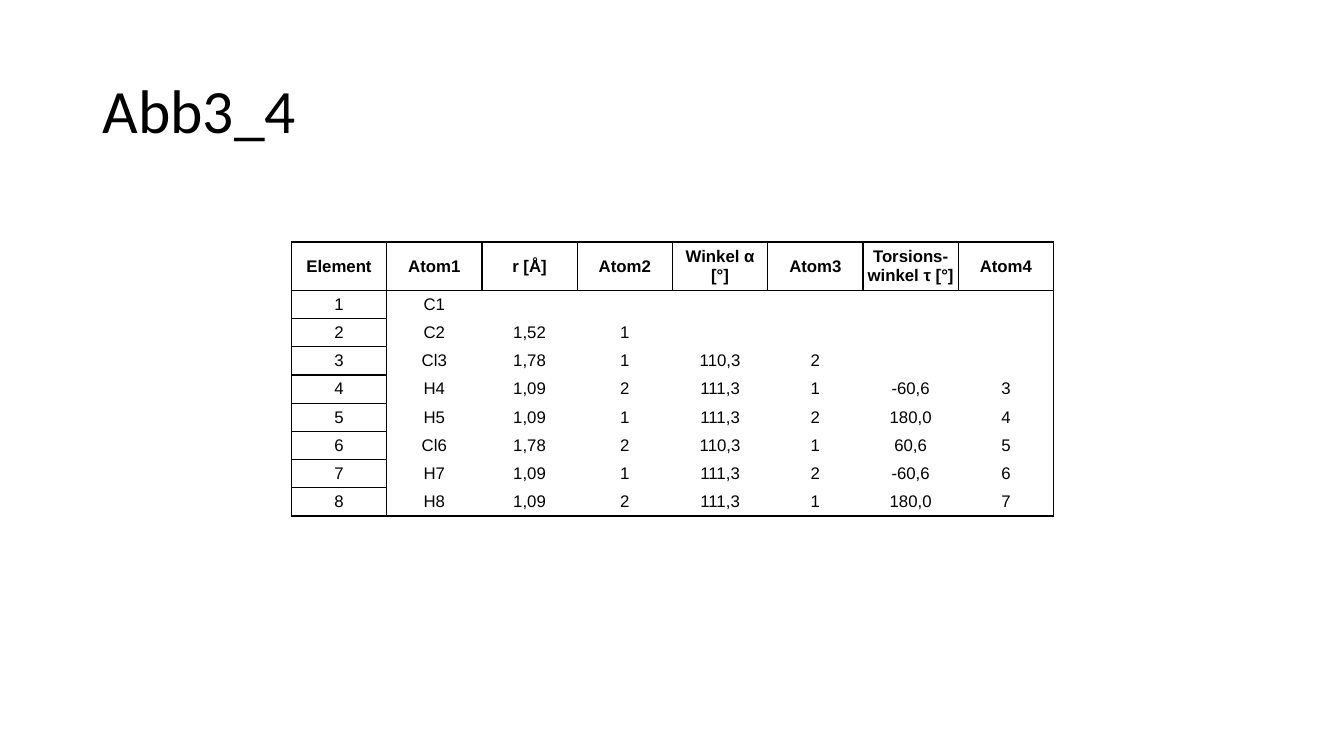
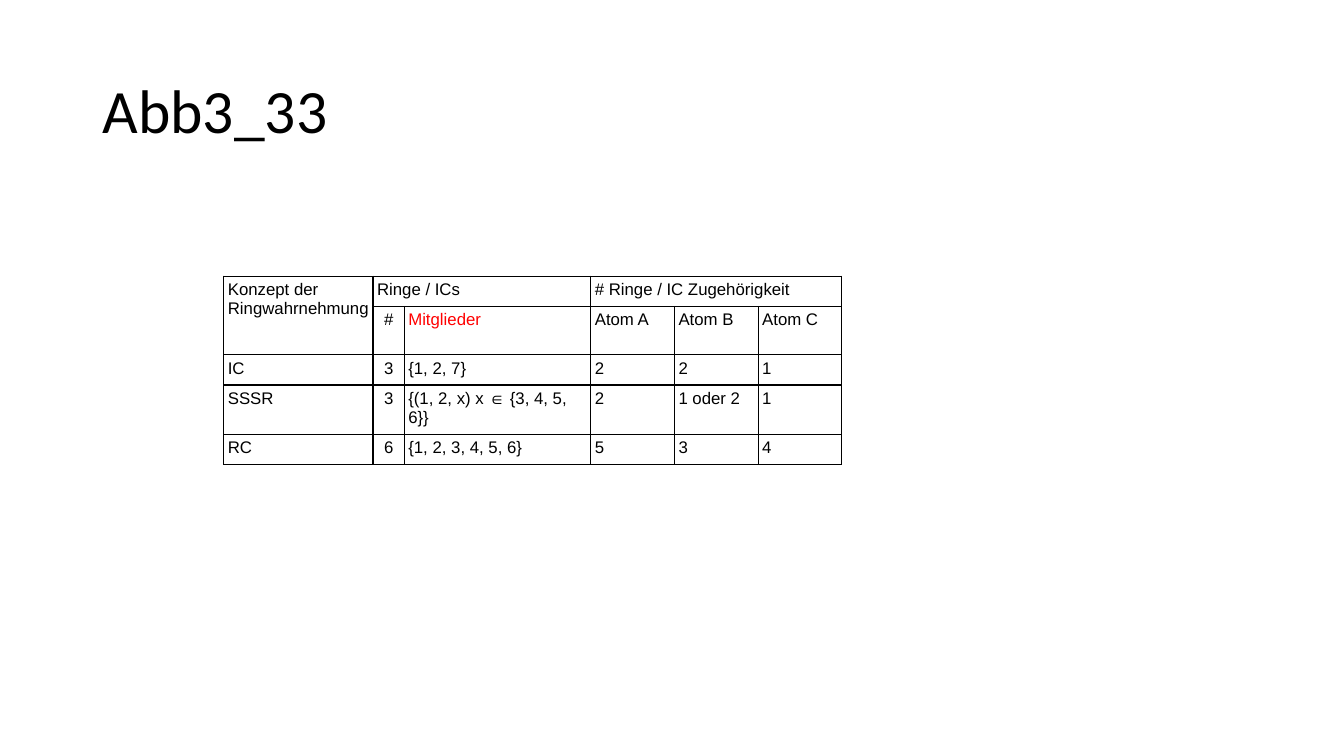
from lxml.etree import SubElement
from pptx import Presentation
from pptx.dml.color import RGBColor
from pptx.enum.text import MSO_ANCHOR, PP_ALIGN
from pptx.oxml.ns import qn
from pptx.util import Inches, Pt

BLACK = "000000"
RED = "FF0000"
TITLE_BOX = (0.92, 0.4, 11.5, 1.45)
TITLE_FONT = ("Calibri", 44)
TABLE_FONT = ("Arial", 12)
CELL_MARGIN = 0.04
BORDER_WIDTH = 1
ALL_SIDES = "LRTB"

ATOM_ROWS = [
    ["Element", "Atom1", "r [Å]", "Atom2", "Winkel α [°]", "Atom3",
     "Torsions-winkel τ [°]", "Atom4"],
    ["1", "C1", "", "", "", "", "", ""],
    ["2", "C2", "1,52", "1", "", "", "", ""],
    ["3", "Cl3", "1,78", "1", "110,3", "2", "", ""],
    ["4", "H4", "1,09", "2", "111,3", "1", "-60,6", "3"],
    ["5", "H5", "1,09", "1", "111,3", "2", "180,0", "4"],
    ["6", "Cl6", "1,78", "2", "110,3", "1", "60,6", "5"],
    ["7", "H7", "1,09", "1", "111,3", "2", "-60,6", "6"],
    ["8", "H8", "1,09", "2", "111,3", "1", "180,0", "7"],
]

RING_ROWS = [
    ["Konzept der Ringwahrnehmung", "Ringe / ICs", "", "# Ringe / IC Zugehörigkeit", "", ""],
    ["", "#", "Mitglieder", "Atom A", "Atom B", "Atom C"],
    ["IC", "3", "{1, 2, 7}", "2", "2", "1"],
    ["SSSR", "3", "{(1, 2, x) x ∈ {3, 4, 5, 6}}", "2", "1 oder 2", "1"],
    ["RC", "6", "{1, 2, 3, 4, 5, 6}", "5", "3", "4"],
]


def color(hex_value):
    return RGBColor.from_string(hex_value)


def style_paragraph(paragraph, font, hex_value=BLACK, bold=False):
    name, size = font
    paragraph.font.name = name
    paragraph.font.size = Pt(size)
    paragraph.font.bold = bold
    paragraph.font.color.rgb = color(hex_value)


def set_borders(cell, sides):
    """Draw the named sides and clear the others."""
    properties = cell._tc.get_or_add_tcPr()
    for side in ALL_SIDES:
        line = SubElement(properties, qn(f"a:ln{side}"), w=str(Pt(BORDER_WIDTH)))
        if side in sides:
            fill = SubElement(line, qn("a:solidFill"))
            SubElement(fill, qn("a:srgbClr"), val=BLACK)
        else:
            SubElement(line, qn("a:noFill"))


def fill_cell(cell, text, sides=ALL_SIDES, centered=False, anchor=MSO_ANCHOR.TOP,
              hex_value=BLACK, bold=False):
    set_borders(cell, sides)
    cell.fill.background()
    cell.margin_left = cell.margin_right = Inches(CELL_MARGIN)
    cell.margin_top = cell.margin_bottom = Inches(CELL_MARGIN)
    cell.vertical_anchor = anchor
    paragraph = cell.text_frame.paragraphs[0]
    paragraph.alignment = PP_ALIGN.CENTER if centered else PP_ALIGN.LEFT
    style_paragraph(paragraph, TABLE_FONT, hex_value, bold)
    if text:
        paragraph.add_run().text = text
    else:
        # Empty cells need the small size too, or their row grows
        SubElement(paragraph._p, qn("a:endParaRPr"), sz=str(TABLE_FONT[1] * 100))


def add_plain_table(slide, left, top, column_widths, row_heights):
    frame = slide.shapes.add_table(
        len(row_heights), len(column_widths), Inches(left), Inches(top),
        Inches(sum(column_widths)), Inches(sum(row_heights)))
    table = frame.table
    table.first_row = table.horz_banding = False
    for column, width in zip(table.columns, column_widths):
        column.width = Inches(width)
    for row, height in zip(table.rows, row_heights):
        row.height = Inches(height)
    return table


def add_titled_slide(presentation, title):
    slide = presentation.slides.add_slide(presentation.slide_layouts[6])
    box = slide.shapes.add_textbox(*map(Inches, TITLE_BOX))
    frame = box.text_frame
    frame.word_wrap = True
    frame.vertical_anchor = MSO_ANCHOR.MIDDLE
    paragraph = frame.paragraphs[0]
    paragraph.add_run().text = title
    paragraph.line_spacing = 0.9
    style_paragraph(paragraph, TITLE_FONT)
    return slide


def atom_sides(row, column):
    """Full grid in the header row and column, only an outline around the body."""
    if row == 0 or column == 0:
        return ALL_SIDES
    edges = {
        "L": column == 1,
        "R": column == len(ATOM_ROWS[0]) - 1,
        "T": row == 1,
        "B": row == len(ATOM_ROWS) - 1,
    }
    return [side for side, drawn in edges.items() if drawn]


def add_atom_table(slide, left, top, width):
    count = len(ATOM_ROWS[0])
    heights = [0.46] + [0.27] * (len(ATOM_ROWS) - 1)
    table = add_plain_table(slide, left, top, [width / count] * count, heights)
    for row, texts in enumerate(ATOM_ROWS):
        for column, text in enumerate(texts):
            fill_cell(table.cell(row, column), text, atom_sides(row, column),
                      centered=True, anchor=MSO_ANCHOR.MIDDLE, bold=row == 0)


def add_ring_table(slide, left, top):
    table = add_plain_table(slide, left, top, [1.48, 0.31, 1.85] + [0.83] * 3,
                            [0.3, 0.46, 0.3, 0.49, 0.3])
    for row, texts in enumerate(RING_ROWS):
        for column, text in enumerate(texts):
            fill_cell(table.cell(row, column), text,
                      centered=column == 1 and row > 0,
                      hex_value=RED if text == "Mitglieder" else BLACK)
    # Grouped headings
    for first, last in [((0, 0), (1, 0)), ((0, 1), (0, 2)), ((0, 3), (0, 5))]:
        table.cell(*first).merge(table.cell(*last))


def main():
    presentation = Presentation()
    presentation.slide_width = Inches(13.33)
    presentation.slide_height = Inches(7.5)
    add_atom_table(add_titled_slide(presentation, "Abb3_4"), 2.89, 2.4, 7.56)
    add_ring_table(add_titled_slide(presentation, "Abb3_33"), 2.22, 2.74)
    presentation.save("out.pptx")


if __name__ == "__main__":
    main()
